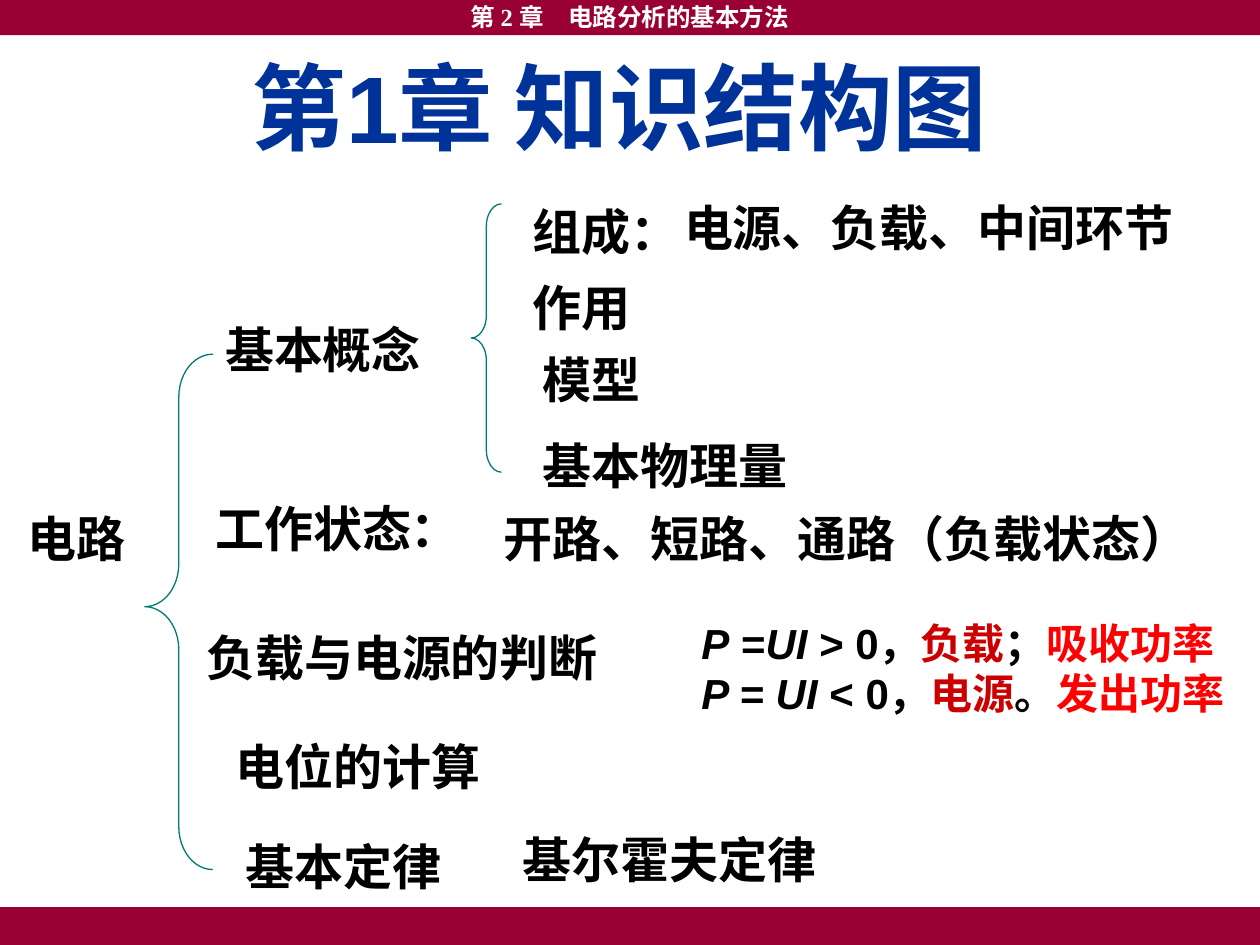
from pptx import Presentation
from pptx.dml.color import RGBColor
from pptx.enum.shapes import MSO_SHAPE
from pptx.enum.text import MSO_ANCHOR, PP_ALIGN
from pptx.util import Cm, Pt

COLORS = {
    "band": "990033", "white": "FFFFFF", "title": "003399", "text": "000000",
    "brace": "007A77", "role": "CC0000", "power": "FF0000",
}
SERIF, SANS, HEI, TITLE_HEI = "Times New Roman", "Arial", "Noto Sans CJK SC", "Noto Sans CJK JP"
SLIDE_WIDTH, SLIDE_HEIGHT = 25.4, 19.05
BAND_HEIGHT, TOPIC_HEIGHT = 0.76, 1.45

CHAPTER = "第 2 章　电路分析的基本方法"
TITLE = [("第", TITLE_HEI), ("1", SANS), ("章 知识结构图", TITLE_HEI)]

TOPICS = [
    ("电路", 0.3, 10.13, 2.79, HEI),
    ("基本概念", 4.29, 6.32, 4.6, SERIF),
    ("组成：", 10.49, 3.94, 3.61, SERIF),
    ("电源、负载、中间环节", 13.54, 3.86, 10.6, SERIF),
    ("作用", 10.49, 5.46, 3.4, SERIF),
    ("模型", 10.69, 6.93, 3, SERIF),
    ("基本物理量", 10.69, 8.66, 6.4, SERIF),
    ("工作状态：", 4.09, 9.93, 6.2, HEI),
    ("开路、短路、通路（负载状态）", 9.91, 10.13, 14.71, SERIF),
    ("负载与电源的判断", 3.91, 12.52, 8.66, SERIF),
    ("电位的计算", 4.5, 14.73, 5.92, HEI),
    ("基本定律", 4.7, 16.74, 4.6, SERIF),
    ("基尔霍夫定律", 10.29, 16.59, 9.09, SERIF),
]

POWER_RULES = [
    [("P", "text", True), (" =", "text", False), ("UI ", "text", True),
     ("> 0，", "text", False), ("负载", "role", False), ("；", "text", False),
     ("吸收功率", "power", False)],
    [("P = UI ", "text", True), ("< 0，", "text", False), ("电源", "role", False),
     ("。", "text", False), ("发出功率", "power", False)],
]

BRACES = [
    (2.92, 7.14, 1.37, 10.39, 0.63, 0.49),
    (9.5, 4.11, 0.61, 5.41, 0.74, 0.5),
]


def color(name):
    return RGBColor.from_string(COLORS[name])


def add_run(paragraph, text, size, face, shade, italic=False):
    run = paragraph.add_run()
    run.text = text
    run.font.size = Pt(size)
    run.font.name = face
    run.font.bold = True
    run.font.italic = italic
    run.font.color.rgb = color(shade)


def add_text_frame(slide, left, top, width, height):
    frame = slide.shapes.add_textbox(Cm(left), Cm(top), Cm(width), Cm(height)).text_frame
    frame.word_wrap = True
    return frame


def add_band(slide, top):
    band = slide.shapes.add_shape(
        MSO_SHAPE.RECTANGLE, Cm(0), Cm(top), Cm(SLIDE_WIDTH), Cm(BAND_HEIGHT))
    band.shadow.inherit = False
    band.fill.solid()
    band.fill.fore_color.rgb = color("band")
    band.line.fill.background()
    return band


def add_brace(slide, left, top, width, height, curve, tip):
    brace = slide.shapes.add_shape(
        MSO_SHAPE.LEFT_BRACE, Cm(left), Cm(top), Cm(width), Cm(height))
    brace.shadow.inherit = False
    brace.adjustments[0] = curve
    brace.adjustments[1] = tip
    brace.fill.background()
    brace.line.color.rgb = color("brace")
    brace.line.width = Pt(0.75)


def main():
    deck = Presentation()
    deck.slide_width, deck.slide_height = Cm(SLIDE_WIDTH), Cm(SLIDE_HEIGHT)
    slide = deck.slides.add_slide(deck.slide_layouts[6])

    chapter = add_band(slide, -0.05).text_frame
    chapter.word_wrap = False
    chapter.vertical_anchor = MSO_ANCHOR.MIDDLE
    chapter.paragraphs[0].alignment = PP_ALIGN.CENTER
    add_run(chapter.paragraphs[0], CHAPTER, 14, SERIF, "white")
    add_band(slide, SLIDE_HEIGHT - BAND_HEIGHT)

    title = add_text_frame(slide, 1.2, 0.86, 22.58, 2.54)
    title.vertical_anchor = MSO_ANCHOR.MIDDLE
    title.paragraphs[0].alignment = PP_ALIGN.CENTER
    for text, face in TITLE:
        add_run(title.paragraphs[0], text, 54, face, "title")

    for text, left, top, width, face in TOPICS:
        topic = add_text_frame(slide, left, top, width, TOPIC_HEIGHT)
        add_run(topic.paragraphs[0], text, 28, face, "text")

    rules = add_text_frame(slide, 13.89, 12.32, 11.5, 2.29)
    for index, rule in enumerate(POWER_RULES):
        line = rules.add_paragraph() if index else rules.paragraphs[0]
        for text, shade, italic in rule:
            add_run(line, text, 24, SANS, shade, italic)

    for brace in BRACES:
        add_brace(slide, *brace)

    deck.save("out.pptx")


if __name__ == "__main__":
    main()
